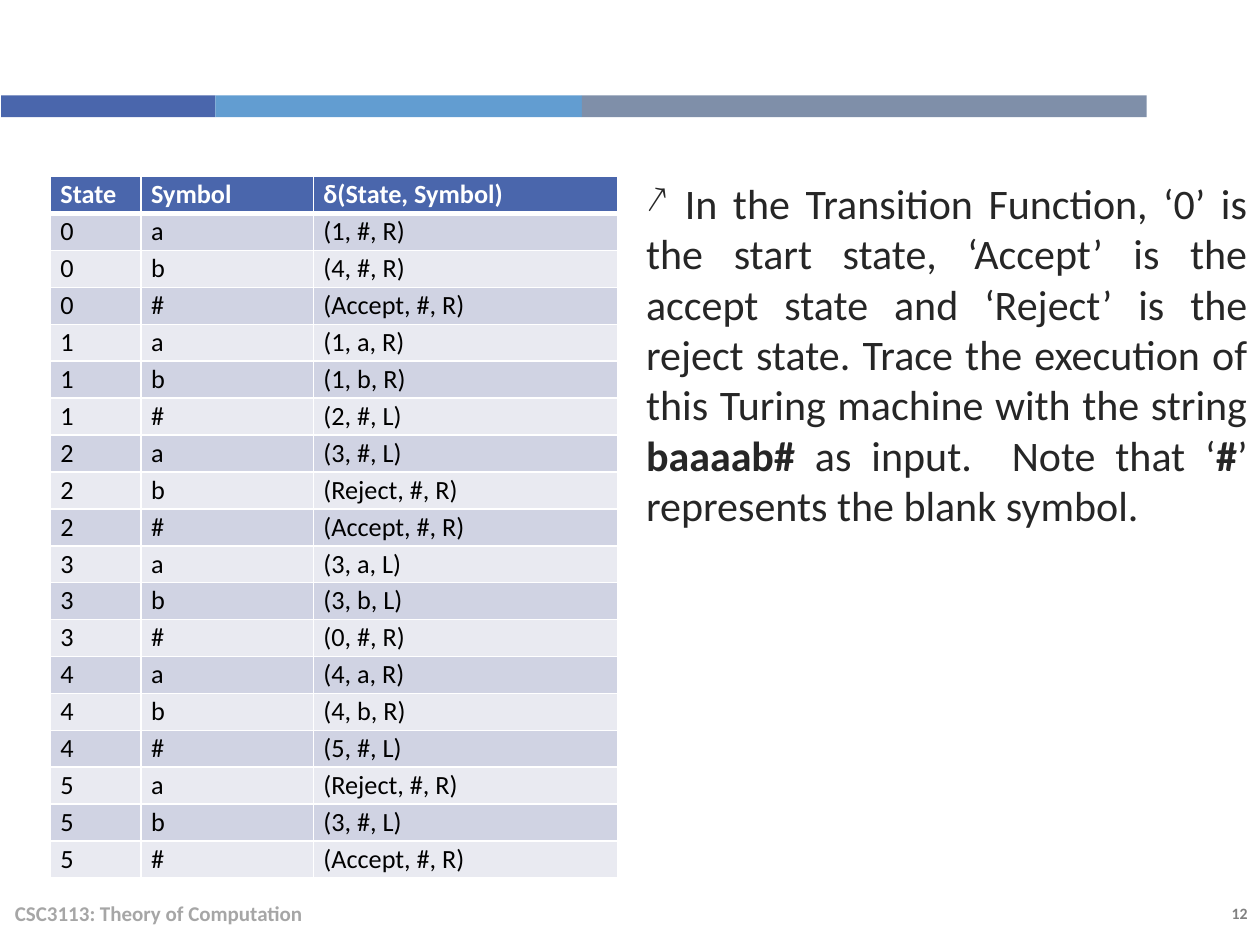
import pptx
import pptx.dml.color
import pptx.enum.shapes
import pptx.enum.text
import pptx.oxml.xmlchemy
import pptx.util
import lxml.etree
from pptx.oxml.ns import qn

RGBColor = pptx.dml.color.RGBColor
INDIGO = RGBColor(0x4A, 0x66, 0xAC)
SKY = RGBColor(0x62, 0x9D, 0xD1)
SLATE = RGBColor(0x7F, 0x8F, 0xA9)
ODD_ROW = RGBColor(0xD0, 0xD3, 0xE3)
EVEN_ROW = RGBColor(0xE9, 0xEA, 0xF1)
WHITE = RGBColor(0xFF, 0xFF, 0xFF)
BLACK = RGBColor(0x00, 0x00, 0x00)
INK = RGBColor(0x26, 0x26, 0x26)
FOOTER_GREY = RGBColor(0xA6, 0xA6, 0xA6)
NUMBER_GREY = RGBColor(0x80, 0x80, 0x80)

FONT = "Calibri"
WIDTH = pptx.util.Inches(10)
HEIGHT = pptx.util.Inches(7.5)
Align = pptx.enum.text.PP_ALIGN
Anchor = pptx.enum.text.MSO_ANCHOR

HEADINGS = ("State", "Symbol", "δ(State, Symbol)")
MOVES = (
    ("1, #, R", "4, #, R", "Accept, #, R"),
    ("1, a, R", "1, b, R", "2, #, L"),
    ("3, #, L", "Reject, #, R", "Accept, #, R"),
    ("3, a, L", "3, b, L", "0, #, R"),
    ("4, a, R", "4, b, R", "5, #, L"),
    ("Reject, #, R", "3, #, L", "Accept, #, R"),
)
COLUMN_SHARES = (0.16, 0.304, 0.536)
BAND_PARTS = ((0.187, INDIGO), (0.32, SKY), (0.493, SLATE))
EXERCISE = (
    (" In the Transition Function, ‘0’ is the start state, ‘Accept’ is the "
     "accept state and ‘Reject’ is the reject state. Trace the execution of "
     "this Turing machine with the string ", False),
    ("baaaab#", True),
    (" as input.  Note that ‘", False),
    ("#", True),
    ("’ represents the blank symbol.", False),
)


def share_box(left, top, width, height):
    """Turn shares of the slide into a box of lengths."""
    return (round(left * WIDTH), round(top * HEIGHT),
            round(width * WIDTH), round(height * HEIGHT))


def style_run(run, size, color, bold):
    """Set the look of one run."""
    run.font.name = FONT
    run.font.size = pptx.util.Pt(size)
    run.font.color.rgb = color
    run.font.bold = bold


def add_band(slide, box):
    """Lay the coloured segments end to end across the box."""
    left, top, width, height = box
    for share, color in BAND_PARTS:
        segment_width = round(share * width)
        segment = slide.shapes.add_shape(
            pptx.enum.shapes.MSO_SHAPE.RECTANGLE, left, top, segment_width, height)
        segment.shadow.inherit = False
        segment.fill.solid()
        segment.fill.fore_color.rgb = color
        segment.line.fill.background()
        left += segment_width


def add_text(slide, box, runs, size, color, align, anchor=Anchor.TOP):
    """Write one paragraph of runs in the box and return it."""
    frame = slide.shapes.add_textbox(*box).text_frame
    frame.word_wrap = True
    frame.vertical_anchor = anchor
    paragraph = frame.paragraphs[0]
    paragraph.alignment = align
    for text, bold in runs:
        run = paragraph.add_run()
        run.text = text
        style_run(run, size, color, bold)
    return paragraph


def add_exercise(slide, box):
    """Write the tracing exercise with its arrow bullet."""
    paragraph = add_text(slide, box, EXERCISE, 24, INK, Align.JUSTIFY)
    paragraph.space_before = pptx.util.Pt(6)
    paragraph.space_after = pptx.util.Pt(8)
    properties = paragraph._p.get_or_add_pPr()
    lxml.etree.SubElement(properties, qn("a:buSzPct"), val="90000")
    lxml.etree.SubElement(properties, qn("a:buChar"), char="↗")


def add_borders(cell, widths):
    """Draw white lines on the named sides of a cell."""
    properties = cell._tc.get_or_add_tcPr()
    for side, points in widths.items():
        line = lxml.etree.SubElement(
            properties, qn(f"a:ln{side}"), w=str(pptx.util.Pt(points)))
        fill = lxml.etree.SubElement(line, qn("a:solidFill"))
        lxml.etree.SubElement(fill, qn("a:srgbClr"), val=str(WHITE))


def fill_cell(cell, text, row):
    """Write and style one cell according to its row."""
    is_heading = row == 0
    cell.margin_left = cell.margin_right = pptx.util.Inches(0.08)
    cell.margin_top = cell.margin_bottom = 0
    widths = {"L": 1, "R": 1, "T": 1, "B": 3 if is_heading else 1}
    if row == 1:
        widths["T"] = 3
    add_borders(cell, widths)
    cell.fill.solid()
    cell.fill.fore_color.rgb = INDIGO if is_heading else (EVEN_ROW, ODD_ROW)[row % 2]
    paragraph = cell.text_frame.paragraphs[0]
    paragraph.text = text
    paragraph.line_spacing = 1.07
    paragraph.space_before = paragraph.space_after = pptx.util.Pt(3)
    style_run(paragraph.runs[0], 15, WHITE if is_heading else BLACK, is_heading)


def add_transitions(slide, box):
    """Build the transition table inside the box."""
    rows = [HEADINGS] + [
        (str(state), symbol, f"({move})")
        for state, moves in enumerate(MOVES)
        for symbol, move in zip("ab#", moves)]
    table = slide.shapes.add_table(len(rows), len(HEADINGS), *box).table
    for column, share in zip(table.columns, COLUMN_SHARES):
        column.width = round(share * box[2])
    for row, values in enumerate(rows):
        table.rows[row].height = box[3] // len(rows)
        for column, text in enumerate(values):
            fill_cell(table.cell(row, column), text, row)


def main():
    """Build the slide and save it."""
    presentation = pptx.Presentation()
    presentation.slide_width = WIDTH
    presentation.slide_height = HEIGHT
    slide = presentation.slides.add_slide(presentation.slide_layouts[6])
    add_text(slide, share_box(0.873, 0.95, 0.127, 0.033),
             [("12", True)], 9, NUMBER_GREY, Align.RIGHT)
    add_band(slide, share_box(0.001, 0.101, 0.909, 0.023))
    add_text(slide, share_box(0.002, 0.94, 0.67, 0.053),
             [("CSC3113: Theory of Computation", True)],
             12, FOOTER_GREY, Align.LEFT, Anchor.MIDDLE)
    add_exercise(slide, share_box(0.503, 0.181, 0.497, 0.756))
    add_transitions(slide, share_box(0.04, 0.187, 0.45, 0.743))
    presentation.save("out.pptx")


if __name__ == "__main__":
    main()
